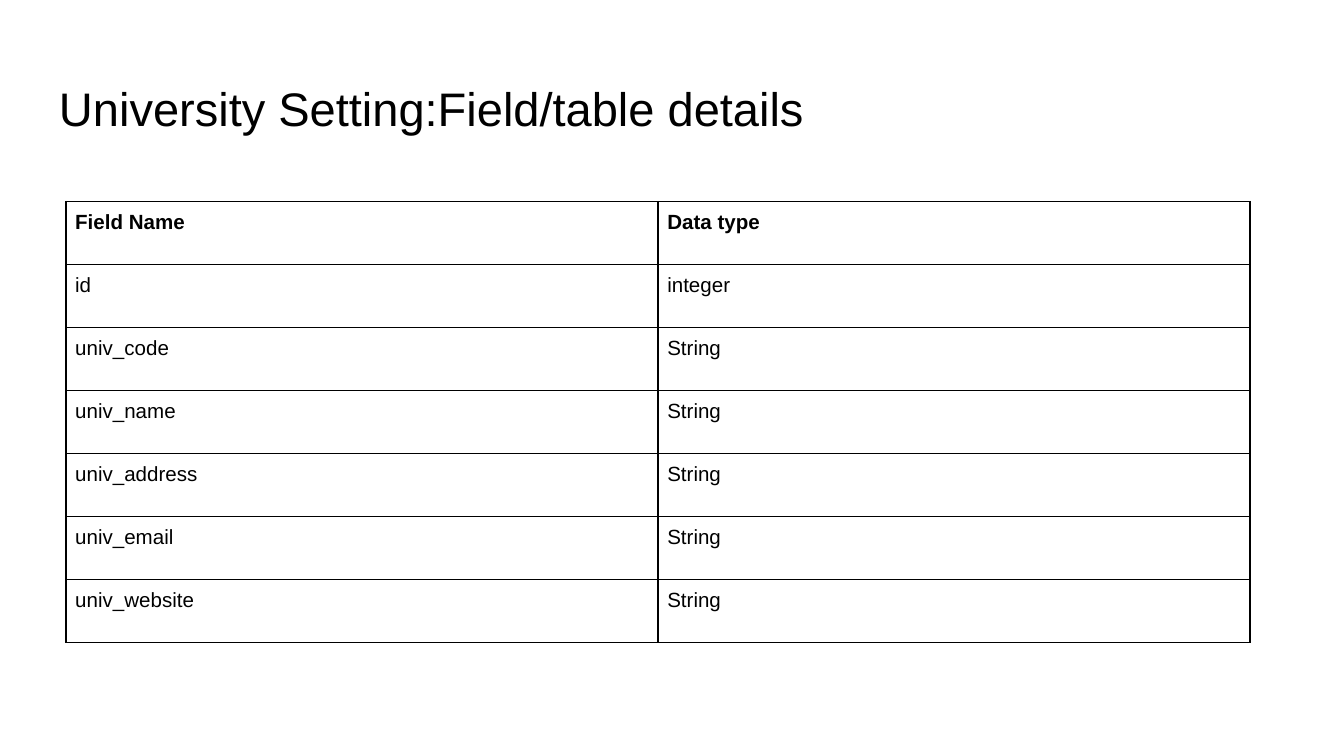
"""Build a slide listing the fields of the university setting table."""
from lxml.etree import SubElement
from pptx import Presentation
from pptx.dml.color import RGBColor
from pptx.enum.text import MSO_ANCHOR
from pptx.oxml.ns import qn
from pptx.util import Pt

COLOURS = {"text": "000000", "border": "000000", "background": "FFFFFF"}
TITLE_FORMAT = {"name": "Arial", "size": Pt(25.2), "bold": False}
HEADER_FORMAT = {"name": "Arial", "size": Pt(11), "bold": True}
BODY_FORMAT = {**HEADER_FORMAT, "bold": False}
MARGINS = ("margin_left", "margin_top", "margin_right", "margin_bottom")
ROWS = [
    ("Field Name", "Data type"),
    ("id", "integer"),
    ("univ_code", "String"),
    ("univ_name", "String"),
    ("univ_address", "String"),
    ("univ_email", "String"),
    ("univ_website", "String"),
]


def write_text(frame, text, formats):
    span = frame.paragraphs[0].add_run()
    span.text = text
    for name, value in formats.items():
        setattr(span.font, name, value)
    span.font.color.rgb = RGBColor.from_string(COLOURS["text"])


def add_borders(cell):
    properties = cell._tc.get_or_add_tcPr()
    for position, side in enumerate(("lnL", "lnR", "lnT", "lnB")):
        line = properties.makeelement(qn(f"a:{side}"), {"w": str(Pt(1))})
        fill = SubElement(line, qn("a:solidFill"))
        SubElement(fill, qn("a:srgbClr"), val=COLOURS["border"])
        properties.insert(position, line)


deck = Presentation()
deck.slide_width, deck.slide_height = Pt(720), Pt(405)
page = deck.slides.add_slide(deck.slide_layouts[6])
page.background.fill.solid()
page.background.fill.fore_color.rgb = RGBColor.from_string(COLOURS["background"])

title_box = page.shapes.add_textbox(Pt(24.5), Pt(35), Pt(671), Pt(45))
title_frame = title_box.text_frame
title_frame.word_wrap = True
title_frame.vertical_anchor = MSO_ANCHOR.BOTTOM
for margin in MARGINS:
    setattr(title_frame, margin, Pt(7.2))
write_text(title_frame, "University Setting:Field/table details", TITLE_FORMAT)

row_height, column_width = Pt(33.75), Pt(317.25)
table = page.shapes.add_table(
    len(ROWS), 2, Pt(35.25), Pt(108), column_width * 2, row_height * len(ROWS)
).table
for column in table.columns:
    column.width = column_width
for row_index, values in enumerate(ROWS):
    table.rows[row_index].height = row_height
    for column_index, value in enumerate(values):
        cell = table.cell(row_index, column_index)
        for margin in MARGINS:
            setattr(cell, margin, Pt(5))
        cell.fill.background()
        add_borders(cell)
        write_text(cell.text_frame, value, BODY_FORMAT if row_index else HEADER_FORMAT)

deck.save("out.pptx")
